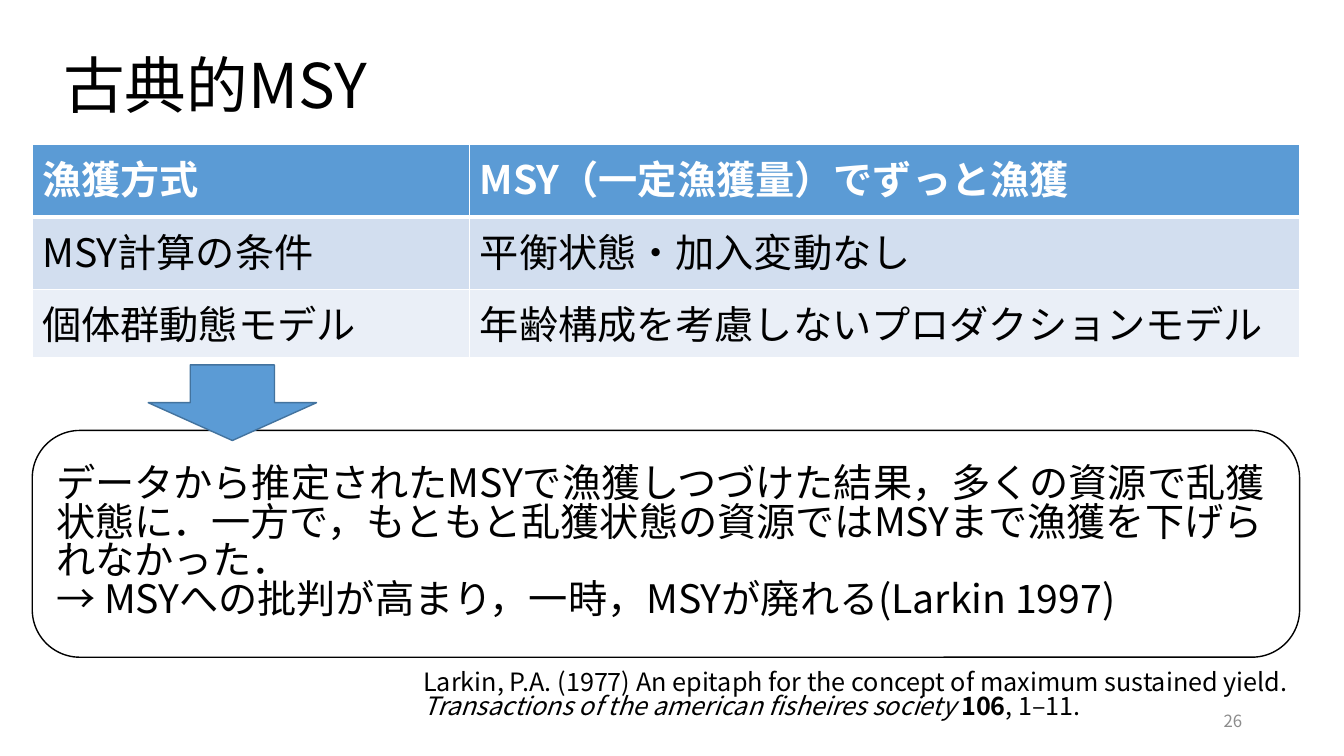
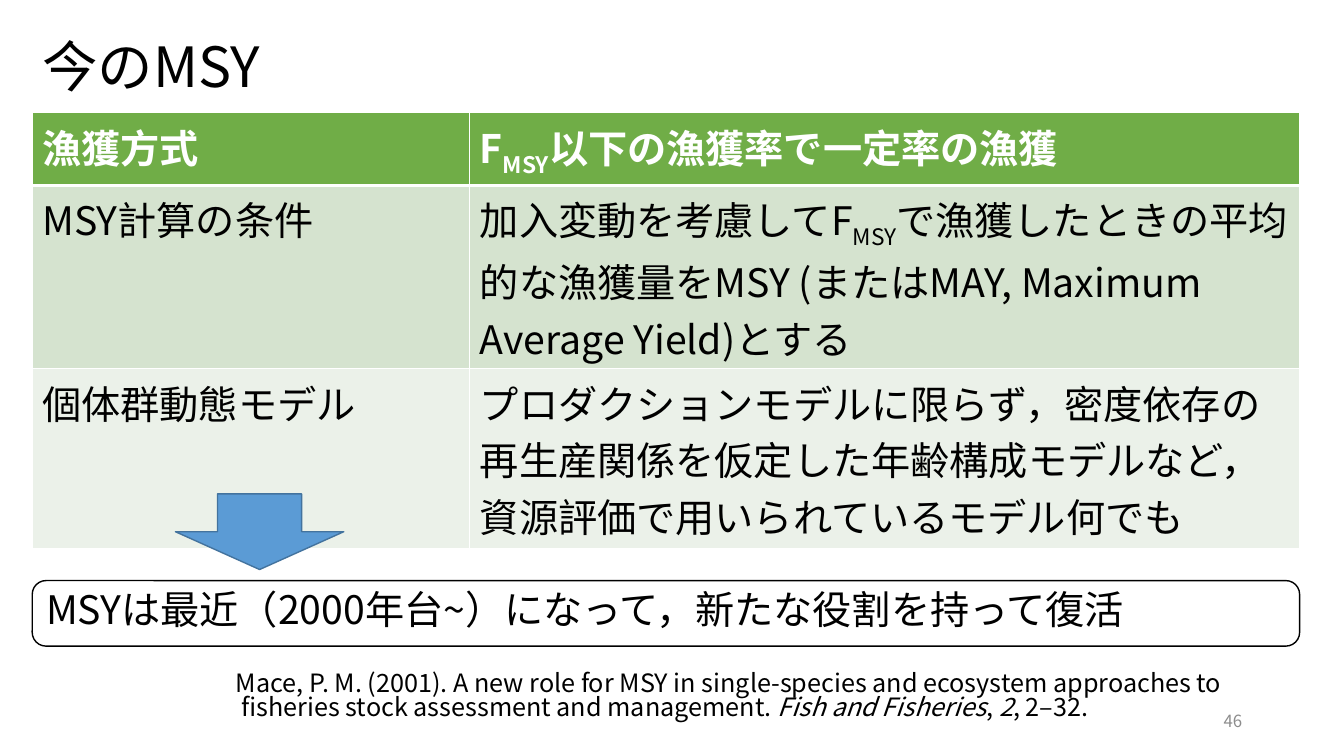
from lxml import etree
from pptx import Presentation
from pptx.dml.color import RGBColor
from pptx.enum import shapes, text
from pptx.oxml.ns import qn
from pptx.util import Inches, Pt

FONT = "Noto Sans CJK JP"
BLACK, WHITE, GRAY = "000000", "FFFFFF", "8C8C8C"
BLUE, BLUE_EDGE = "5B9BD5", "43739E"
LEFT, WIDTH = 0.32, 12.57
COLUMNS = (4.34, 8.23)
TIGHT = 0.82

SLIDES = [
    dict(
        title=("古典的MSY", 44, (0.53, 0.4, 11.88, 0.95)),
        table_top=1.43, row_heights=(0.72, 0.72, 0.68),
        row_fills=(BLUE, "D2DEEF", "EAEFF7"),
        rows=[
            ("漁獲方式", "MSY（一定漁獲量）でずっと漁獲"),
            ("MSY計算の条件", "平衡状態・加入変動なし"),
            ("個体群動態モデル", "年齢構成を考慮しないプロダクションモデル"),
        ],
        arrow=(1.47, 3.62), box=(4.27, 2.25),
        message=[
            "データから推定されたMSYで漁獲しつづけた結果，多くの資源で乱獲状態に．"
            "一方で，もともと乱獲状態の資源ではMSYまで漁獲を下げられなかった．",
            "→ MSYへの批判が高まり，一時，MSYが廃れる(Larkin 1997)",
        ],
        citation_at=(4.1, 6.61, 8.99, 0.71),
        citation=[
            "Larkin, P.A. (1977) An epitaph for the concept of maximum sustained yield.",
            [("Transactions of the american fisheires society ", "i"),
             ("106", "b"), (", 1–11.", "")],
        ],
        number="26",
    ),
    dict(
        title=("今のMSY", 39.6, (0.32, 0.33, 11.88, 0.72)),
        table_top=1.12, row_heights=(0.72, 1.82, 1.78),
        row_fills=("70AD47", "D5E3CF", "EBF1E9"),
        rows=[
            ("漁獲方式",
             [("F", ""), ("MSY", "sub"), ("以下の漁獲率で一定率の漁獲", "")]),
            ("MSY計算の条件",
             [("加入変動を考慮してF", ""), ("MSY", "sub"),
              ("で漁獲したときの平均的な漁獲量をMSY (またはMAY, "
               "Maximum Average Yield)とする", "")]),
            ("個体群動態モデル",
             "プロダクションモデルに限らず，密度依存の再生産関係を仮定した"
             "年齢構成モデルなど，資源評価で用いられているモデル何でも"),
        ],
        arrow=(1.74, 4.9), box=(5.76, 0.65),
        message=["MSYは最近（2000年台~）になって，新たな役割を持って復活"],
        citation_at=(2.24, 6.62, 10.37, 0.71),
        citation=[
            "Mace, P. M. (2001). A new role for MSY in single-species and "
            "ecosystem approaches to",
            [(" fisheries stock assessment and management. ", ""),
             ("Fish and Fisheries", "i"), (", ", ""), ("2", "i"), (", 2–32.", "")],
        ],
        number="46",
    ),
]


def rgb(color):
    return RGBColor.from_string(color)


def write(tf, paragraphs, size, color=BLACK, bold=False, spacing=None,
          align=text.PP_ALIGN.LEFT):
    tf.word_wrap = True
    for i, content in enumerate(paragraphs):
        p = tf.add_paragraph() if i else tf.paragraphs[0]
        p.alignment = align
        if spacing:
            p.line_spacing = spacing
        runs = [(content, "")] if isinstance(content, str) else content
        for words, style in runs:
            r = p.add_run()
            r.text = words
            r.font.size = Pt(size)
            r.font.bold = bold or style == "b"
            r.font.italic = style == "i"
            r.font.color.rgb = rgb(color)
            r.font.name = FONT
            props = r.font._element
            etree.SubElement(props, qn("a:ea"), typeface=FONT)
            if style == "sub":
                props.set("baseline", "-25000")


def add_text(s, at, paragraphs, size, middle=False, **style):
    tf = s.shapes.add_textbox(*map(Inches, at)).text_frame
    if middle:
        tf.vertical_anchor = text.MSO_ANCHOR.MIDDLE
    write(tf, paragraphs, size, **style)


def add_shape(s, kind, at, fill, line):
    sp = s.shapes.add_shape(kind, *map(Inches, at))
    sp.shadow.inherit = False
    sp.fill.solid()
    sp.fill.fore_color.rgb = rgb(fill)
    sp.line.color.rgb = rgb(line)
    sp.line.width = Pt(1)
    return sp


def set_borders(cell, row):
    props = cell._tc.get_or_add_tcPr()
    widths = dict(lnL=1, lnR=1, lnT=3 if row == 1 else 1, lnB=3 if row == 0 else 1)
    for side, width in widths.items():
        ln = etree.SubElement(props, qn("a:" + side), w=str(Pt(width)))
        fill = etree.SubElement(ln, qn("a:solidFill"))
        etree.SubElement(fill, qn("a:srgbClr"), val=WHITE)


def add_table(s, d):
    frame = s.shapes.add_table(
        len(d["rows"]), len(COLUMNS), Inches(LEFT), Inches(d["table_top"]),
        Inches(WIDTH), Inches(sum(d["row_heights"])))
    table = frame.table
    for column, width in zip(table.columns, COLUMNS):
        column.width = Inches(width)
    for i, contents in enumerate(d["rows"]):
        table.rows[i].height = Inches(d["row_heights"][i])
        for j, content in enumerate(contents):
            cell = table.cell(i, j)
            set_borders(cell, i)
            cell.fill.solid()
            cell.fill.fore_color.rgb = rgb(d["row_fills"][i])
            write(cell.text_frame, [content], 28,
                  color=BLACK if i else WHITE, bold=i == 0)


def add_message(s, d):
    top, height = d["box"]
    sp = add_shape(s, shapes.MSO_SHAPE.ROUNDED_RECTANGLE,
                   (LEFT, top, WIDTH, height), WHITE, BLACK)
    sp.adjustments[0] = 0.21
    write(sp.text_frame, d["message"], 28, spacing=TIGHT)


def build(prs, d):
    s = prs.slides.add_slide(prs.slide_layouts[6])
    title, size, at = d["title"]
    add_text(s, at, [title], size, middle=True, spacing=0.9)
    add_table(s, d)
    add_message(s, d)
    add_text(s, d["citation_at"], d["citation"], 18, spacing=TIGHT)
    add_shape(s, shapes.MSO_SHAPE.DOWN_ARROW, (*d["arrow"], 1.67, 0.75),
              BLUE, BLUE_EDGE)
    add_text(s, (9.42, 6.95, 3, 0.4), [d["number"]], 12, middle=True,
             color=GRAY, align=text.PP_ALIGN.RIGHT)


def main():
    prs = Presentation()
    prs.slide_width, prs.slide_height = Inches(13.33), Inches(7.5)
    for d in SLIDES:
        build(prs, d)
    prs.save("out.pptx")


if __name__ == "__main__":
    main()
